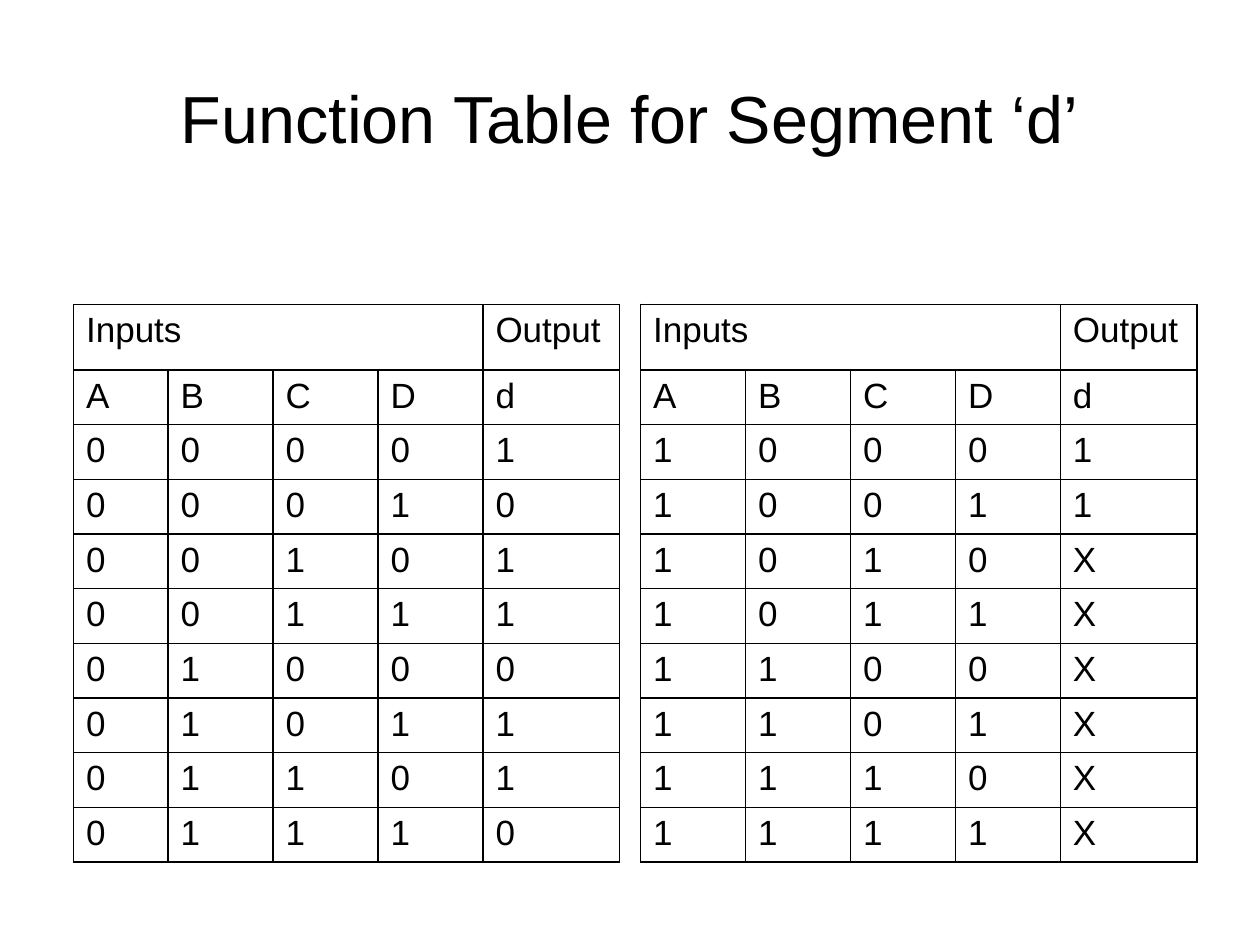
from lxml import etree
from pptx import Presentation
from pptx.dml.color import RGBColor
from pptx.enum.text import MSO_ANCHOR, PP_ALIGN
from pptx.oxml.ns import qn
from pptx.util import Inches, Pt

BLACK = RGBColor(0x00, 0x00, 0x00)
CENTER, JUSTIFY = PP_ALIGN.CENTER, PP_ALIGN.JUSTIFY
MIDDLE, TOP = MSO_ANCHOR.MIDDLE, MSO_ANCHOR.TOP

SLIDE_W, SLIDE_H = Inches(10), Inches(7.5)
UNIT = SLIDE_W / 120  # grid step, twelve to the inch

TITLE_FONT = {"name": "Arial", "size": Pt(38), "bold": False}
CELL_FONT = {"name": "Arial", "size": Pt(20), "bold": False}
INSETS = {"margin_left": Inches(0.1), "margin_right": Inches(0.1),
          "margin_top": Inches(0.05), "margin_bottom": Inches(0.05)}
PLAIN_TABLE = {"first_row": False, "horz_banding": False}
HANGING = Inches(0.38)

INPUT_NAMES = "ABCD"
SEGMENT = "d"
HEADER_ROWS = 2
HEADER_HEIGHT = 6.25  # in grid steps


def grid(steps):
    return round(steps * UNIT)


def apply_format(target, values):
    for attribute, value in values.items():
        setattr(target, attribute, value)


def write(paragraph, text, font, alignment):
    paragraph.text = text
    paragraph.alignment = alignment
    apply_format(paragraph.font, font)
    paragraph.font.color.rgb = BLACK


def add_title(slide, box, text):
    frame = slide.shapes.add_textbox(*map(grid, box)).text_frame
    apply_format(frame, {**INSETS, "word_wrap": True, "vertical_anchor": MIDDLE})
    write(frame.paragraphs[0], text, TITLE_FONT, CENTER)


def add_borders(cell):
    # Border lines come before the fill in the cell properties
    properties = cell._tc.get_or_add_tcPr()
    for position, side in enumerate(("lnL", "lnR", "lnT", "lnB")):
        line = etree.Element(qn(f"a:{side}"), w=str(Pt(1)))
        fill = etree.SubElement(line, qn("a:solidFill"))
        etree.SubElement(fill, qn("a:srgbClr"), val=str(BLACK))
        properties.insert(position, line)


def truth_rows(first_code, outputs):
    return [[*f"{code:04b}", output]
            for code, output in enumerate(outputs, first_code)]


def add_truth_table(slide, box, column_steps, first_code, outputs, hanging=0):
    rows = [["Inputs", "", "", "", "Output"], [*INPUT_NAMES, SEGMENT],
            *truth_rows(first_code, outputs)]
    table = slide.shapes.add_table(
        len(rows), len(column_steps), *map(grid, box)).table
    apply_format(table, PLAIN_TABLE)

    # Column widths and row heights
    for column, steps in zip(table.columns, column_steps):
        column.width = grid(steps)
    row_height = (box[3] - HEADER_HEIGHT) / (len(rows) - 1)
    for index, row in enumerate(table.rows):
        row.height = grid(row_height if index else HEADER_HEIGHT)

    # One heading over all the inputs
    table.cell(0, 0).merge(table.cell(0, len(INPUT_NAMES) - 1))

    for row, values in zip(table.rows, rows):
        for cell, value in zip(row.cells, values):
            apply_format(cell, {**INSETS, "vertical_anchor": TOP})
            cell.fill.background()
            add_borders(cell)
            paragraph = cell.text_frame.paragraphs[0]
            write(paragraph, value, CELL_FONT, JUSTIFY)
            if hanging:
                properties = paragraph._p.get_or_add_pPr()
                properties.set("marL", str(hanging))
                properties.set("indent", str(-hanging))


def main():
    presentation = Presentation()
    presentation.slide_width, presentation.slide_height = SLIDE_W, SLIDE_H
    slide = presentation.slides.add_slide(presentation.slide_layouts[6])

    add_title(slide, (6, 3.6, 108, 15), "Function Table for Segment ‘d’")
    # Codes 0 to 7, then codes 8 to 15
    add_truth_table(slide, (7, 29, 52, 53), (9, 10, 10, 10, 13),
                    0, "10110110", HANGING)
    add_truth_table(slide, (61, 29, 53, 53), (10, 10, 10, 10, 13),
                    8, "11XXXXXX")

    presentation.save("out.pptx")


if __name__ == "__main__":
    main()
